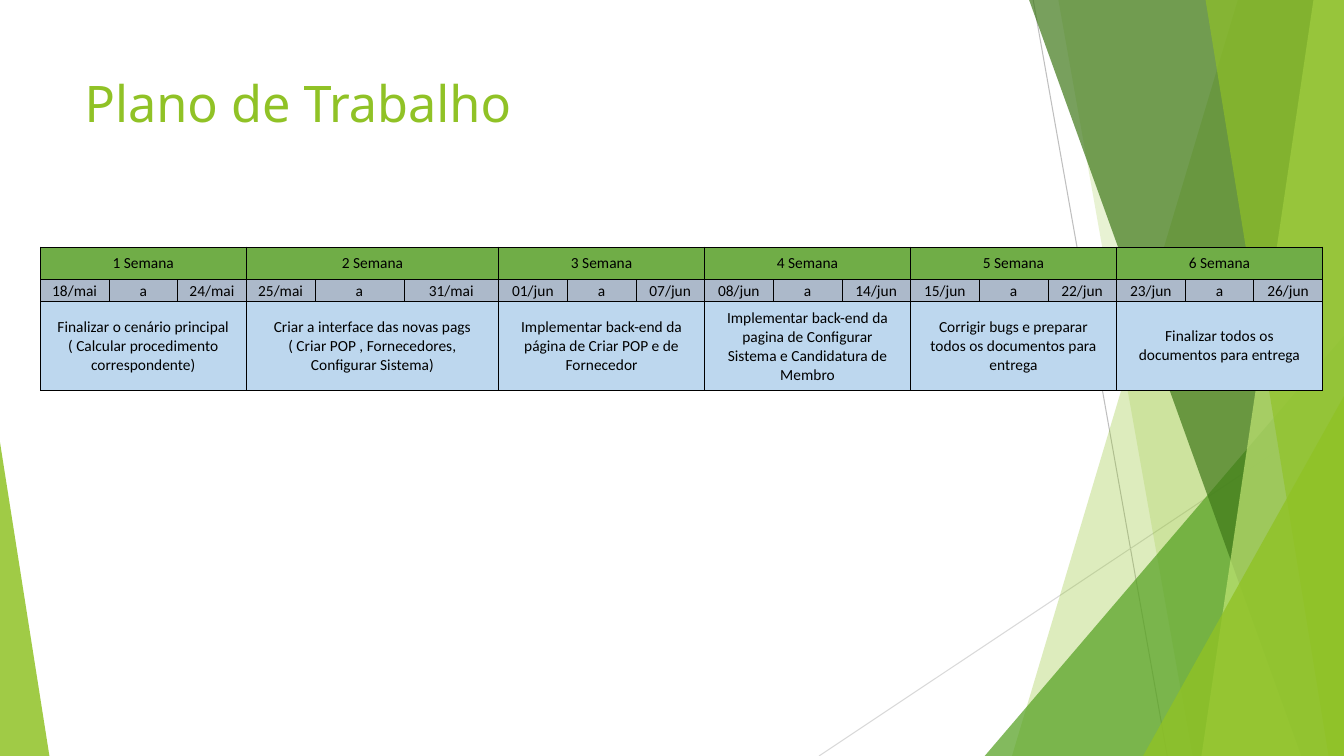
import pptx
import pptx.util
import pptx.dml.color
import pptx.enum.shapes
import pptx.enum.text
import pptx.oxml
import pptx.oxml.ns
from lxml import etree

Pt = pptx.util.Pt
A = pptx.oxml.ns.nsdecls("a")
qn = pptx.oxml.ns.qn
MIDDLE = pptx.enum.text.MSO_ANCHOR.MIDDLE
CENTER = pptx.enum.text.PP_ALIGN.CENTER

# Facets: kind, colour, opacity %, then top x and bottom x (band)
# or left x and top y (wedge), measured in the facet box.
FACETS = [
    ("band", "90C226", 30, 299.2, 137.9),
    ("band", "90C226", 20, 171, 266.8),
    ("wedge", "54A021", 72, 118.4, 239.8),
    ("band", "3F7819", 70, 150.1, 344.5),
    ("band", "C0E474", 70, 353.2, 273.2),
    ("band", "90C226", 65, 276.1, 364),
    ("wedge", "90C226", 80, 231.5, 283),
]

WEEKS = [
    ("18/mai", "24/mai", "Finalizar o cenário principal ( Calcular procedimento correspondente)"),
    ("25/mai", "31/mai", "Criar a interface das novas pags ( Criar POP , Fornecedores, Configurar Sistema)"),
    ("01/jun", "07/jun", "Implementar back-end da página de Criar POP e de Fornecedor"),
    ("08/jun", "14/jun", "Implementar back-end da pagina de Configurar Sistema e Candidatura de Membro"),
    ("15/jun", "22/jun", "Corrigir bugs e preparar todos os documentos para entrega"),
    ("23/jun", "26/jun", "Finalizar todos os documentos para entrega"),
]
ROW_HEIGHTS = [22.9, 15.9, 63]
ROW_FILLS = ["70AD47", "ACB9CA", "BDD7EE"]
WIDE_COLUMNS = {4: 63.5, 5: 67.7}
COLUMN_WIDTH = 49.05


def rgb(value):
    """Turn a hex string into a colour."""
    return pptx.dml.color.RGBColor.from_string(value)


def set_attrs(obj, values):
    """Set each attribute of obj named in values."""
    for name, value in values.items():
        setattr(obj, name, value)


def write(tf, text, size, font, color, **frame):
    """Write one run of text and format its frame."""
    set_attrs(tf, frame)
    r = tf.paragraphs[0].add_run()
    r.text = text
    set_attrs(r.font, {"size": Pt(size), "name": font})
    r.font.color.rgb = rgb(color)


def paint(sp, color, opacity):
    """Fill a shape with a translucent colour, no line and no shadow."""
    sp.shadow.inherit = False
    sp.fill.solid()
    sp.fill.fore_color.rgb = rgb(color)
    sp.line.fill.background()
    clr = sp.fill._xPr.find(".//" + qn("a:srgbClr"))
    etree.SubElement(clr, qn("a:alpha"), val=str(opacity * 1000))


def add_wedge(s, x, y, w, h, lean, color, opacity):
    """Add a right triangle whose apex sits at lean (0 left, 1 right)."""
    sp = s.shapes.add_shape(pptx.enum.shapes.MSO_SHAPE.ISOSCELES_TRIANGLE,
                            Pt(x), Pt(y), Pt(w), Pt(h))
    sp.adjustments[0] = lean
    paint(sp, color, opacity)


def add_ray(s, x1, y1, x2, y2, color):
    """Add a thin straight line."""
    sp = s.shapes.add_connector(pptx.enum.shapes.MSO_CONNECTOR.STRAIGHT,
                                Pt(x1), Pt(y1), Pt(x2), Pt(y2))
    sp.line.color.rgb = rgb(color)
    sp.line.width = Pt(0.75)
    etree.SubElement(sp._element.spPr, qn("a:effectLst"))


def add_facets(s, x, y, w, h):
    """Draw the rays and overlapping facets against the right edge."""
    add_ray(s, x + 153, y, x + 248.8, y + h, "BFBFBF")
    add_ray(s, x + w, y + 290.2, x, y + h, "D9D9D9")
    for kind, color, opacity, a, b in FACETS:
        if kind == "wedge":
            add_wedge(s, x + a, y + b, w - a, h - b, 1, color, opacity)
            continue
        outline = s.shapes.build_freeform(Pt(x + a), Pt(y))
        corners = [(x + w, y), (x + w, y + h), (x + b, y + h)]
        outline.add_line_segments([(Pt(px), Pt(py)) for px, py in corners])
        paint(outline.convert_to_shape(), color, opacity)


def add_title(s, x, y, w, h):
    """Write the slide title."""
    sp = s.shapes.add_textbox(Pt(x), Pt(y), Pt(w), Pt(h))
    write(sp.text_frame, "Plano de Trabalho", 36, "Noto Sans", "90C226", word_wrap=True)


def style_cell(cell, color, margins):
    """Set fill, margins and thin black borders of a cell."""
    cell.fill.solid()
    cell.fill.fore_color.rgb = rgb(color)
    sides = ("margin_left", "margin_top", "margin_right", "margin_bottom")
    set_attrs(cell, {side: Pt(m) for side, m in zip(sides, margins)})
    cell.vertical_anchor = MIDDLE
    for i, edge in enumerate(("lnL", "lnR", "lnT", "lnB")):
        cell._tc.tcPr.insert(i, pptx.oxml.parse_xml(
            f'<a:{edge} {A} w="6350"><a:solidFill><a:srgbClr val="000000"/>'
            f'</a:solidFill></a:{edge}>'))


def add_schedule(s, x, y, w, h):
    """Build the table of weeks, dates and tasks."""
    n = 3 * len(WEEKS)
    table = s.shapes.add_table(3, n, Pt(x), Pt(y), Pt(w), Pt(h)).table
    for c, column in enumerate(table.columns):
        column.width = Pt(WIDE_COLUMNS.get(c, COLUMN_WIDTH))
    for r, row in enumerate(table.rows):
        row.height = Pt(ROW_HEIGHTS[r])
        margins = (0.7, 0.7, 0.7, 0) if r == 1 else (10, 5, 10, 5)
        for cell in row.cells:
            style_cell(cell, ROW_FILLS[r], margins)
    for i, (start, end, task) in enumerate(WEEKS):
        c = 3 * i
        for r in (0, 2):
            table.cell(r, c).merge(table.cell(r, c + 2))
        texts = [(0, c, f"{i + 1} Semana"), (1, c, start), (1, c + 1, "a"),
                 (1, c + 2, end), (2, c, task)]
        for r, col, text in texts:
            tf = table.cell(r, col).text_frame
            write(tf, text, 11, "Calibri", "000000")
            tf.paragraphs[0].alignment = CENTER
    # Unused cells keep small text so that they do not stretch their row
    for cell in table.iter_cells():
        if cell.is_spanned:
            cell.text_frame.paragraphs[0].font.size = Pt(11)


def main():
    """Build the slide and save it."""
    prs = pptx.Presentation()
    set_attrs(prs, {"slide_width": Pt(960), "slide_height": Pt(540)})
    s = prs.slides.add_slide(prs.slide_layouts[6])
    add_facets(s, 585, 0, 375, 540)
    add_wedge(s, 0, 316, 35.3, 224, 0, "90C226", 85)
    add_title(s, 53.3, 48, 677, 104)
    add_schedule(s, 28.8, 176.4, 916, sum(ROW_HEIGHTS))
    prs.save("out.pptx")


main()
